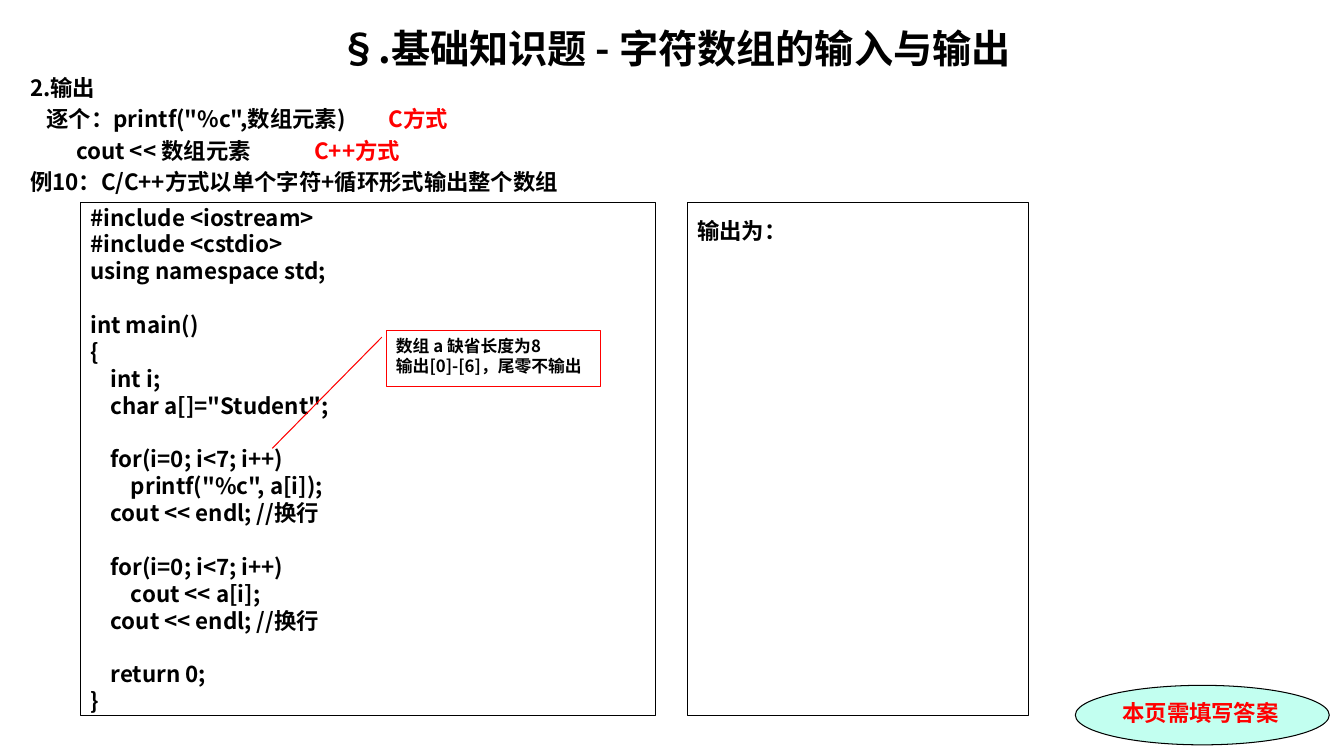
from lxml import etree
from pptx import Presentation
from pptx.dml.color import RGBColor
from pptx.enum.shapes import MSO_SHAPE
from pptx.enum.text import MSO_ANCHOR, MSO_AUTO_SIZE, PP_ALIGN
from pptx.oxml.ns import qn
from pptx.util import Cm, Pt

RECTANGLE, ELLIPSE = MSO_SHAPE.RECTANGLE, MSO_SHAPE.OVAL
CALLOUT = MSO_SHAPE.LINE_CALLOUT_1
TOP, MIDDLE = MSO_ANCHOR.TOP, MSO_ANCHOR.MIDDLE
LEFT, CENTER = PP_ALIGN.LEFT, PP_ALIGN.CENTER
NO_AUTOFIT = MSO_AUTO_SIZE.NONE

BLACK = RGBColor(0x00, 0x00, 0x00)
RED = RGBColor(0xFF, 0x00, 0x00)
MINT = RGBColor(0xC2, 0xFF, 0xF0)
SANS, SERIF = "Noto Sans CJK SC", "Times New Roman"

CODE = """#include <iostream>
#include <cstdio>
using namespace std;

int main()
{
    int i;
    char a[]="Student";

    for(i=0; i<7; i++)
        printf("%c", a[i]);
    cout << endl; //换行

    for(i=0; i<7; i++)
        cout << a[i];
    cout << endl; //换行

    return 0;
}"""


def style(paragraph, size, color=BLACK, font=SANS, align=LEFT):
    """Bold text with a line pitch of 1.2 times its size."""
    paragraph.alignment = align
    paragraph.line_spacing = Pt(size * 1.2)
    paragraph.font.size = Pt(size)
    paragraph.font.bold = True
    paragraph.font.color.rgb = color
    paragraph.font.name = font
    if font == SANS:
        defaults = paragraph._p.get_or_add_pPr().get_or_add_defRPr()
        etree.SubElement(defaults, qn("a:ea")).set("typeface", font)


def add_box(kind, left, top, width, height, text, size=16, line=BLACK,
            color=BLACK, font=SANS, anchor=TOP):
    """Outlined shape with left-aligned text, one paragraph per line."""
    box = slide.shapes.add_shape(kind, Cm(left), Cm(top), Cm(width), Cm(height))
    box.shadow.inherit = False
    box.fill.background()
    box.line.color.rgb = line
    box.line.width = Pt(0.75)
    frame = box.text_frame
    frame.word_wrap = True
    frame.vertical_anchor = anchor
    frame.text = text
    for paragraph in frame.paragraphs:
        style(paragraph, size, color, font)
    return box


prs = Presentation()
prs.slide_width, prs.slide_height = Cm(33.87), Cm(19.05)
slide = prs.slides.add_slide(prs.slide_layouts[5])

# Title
title = slide.shapes.title
title.left, title.top, title.width, title.height = Cm(0.51), Cm(0.46), Cm(33), Cm(1.5)
title.text_frame.text = "§.基础知识题 - 字符数组的输入与输出"
title.text_frame.auto_size = NO_AUTOFIT
title.text_frame.vertical_anchor = MIDDLE
style(title.text_frame.paragraphs[0], 28, align=CENTER)

# Output methods: black text, red remark, tab stops in cm
METHODS = [
    ("2.输出", "", []),
    ("\t逐个：printf(\"%c\",数组元素)", "\tC方式", [0.41, 9.04]),
    ("\tcout << 数组元素", "\tC++方式", [1.16, 7.16]),
    ("例10：C/C++方式以单个字符+循环形式输出整个数组", "", []),
]
methods = slide.shapes.add_textbox(Cm(0.51), Cm(1.87), Cm(33), Cm(3.2)).text_frame
methods.word_wrap = True
methods.margin_top = 0
for number, (statement, remark, stops) in enumerate(METHODS):
    paragraph = methods.add_paragraph() if number else methods.paragraphs[0]
    if stops:
        tabs = etree.SubElement(paragraph._p.get_or_add_pPr(), qn("a:tabLst"))
        for stop in stops:
            etree.SubElement(tabs, qn("a:tab"), pos=str(Cm(stop)), algn="l")
    if number:
        paragraph.space_before = Pt(3.2)
    style(paragraph, 16)
    paragraph.add_run().text = statement
    if remark:
        remark_run = paragraph.add_run()
        remark_run.text = remark
        remark_run.font.color.rgb = RED

# Answer reminder
reminder = add_box(ELLIPSE, 27.1, 17.27, 6.4, 1.5, "本页需填写答案",
                   color=RED, font=SERIF)
reminder.fill.solid()
reminder.fill.fore_color.rgb = MINT

# Program and its output
add_box(RECTANGLE, 2.03, 5.1, 14.48, 12.93, CODE, anchor=MIDDLE)
output = add_box(RECTANGLE, 17.32, 5.1, 8.61, 12.93, "输出为：")
output.text_frame.margin_top = Cm(0.38)

# Callout pointing at the loop
note = add_box(CALLOUT, 9.73, 8.33, 5.41, 1.4,
               "数组 a 缺省长度为8\n输出[0]-[6]，尾零不输出", size=12, line=RED)
note.text_frame.margin_right = 0
for index, value in enumerate([0.12, -0.02, 2.12, -0.53]):
    note.adjustments[index] = value

prs.save("out.pptx")
